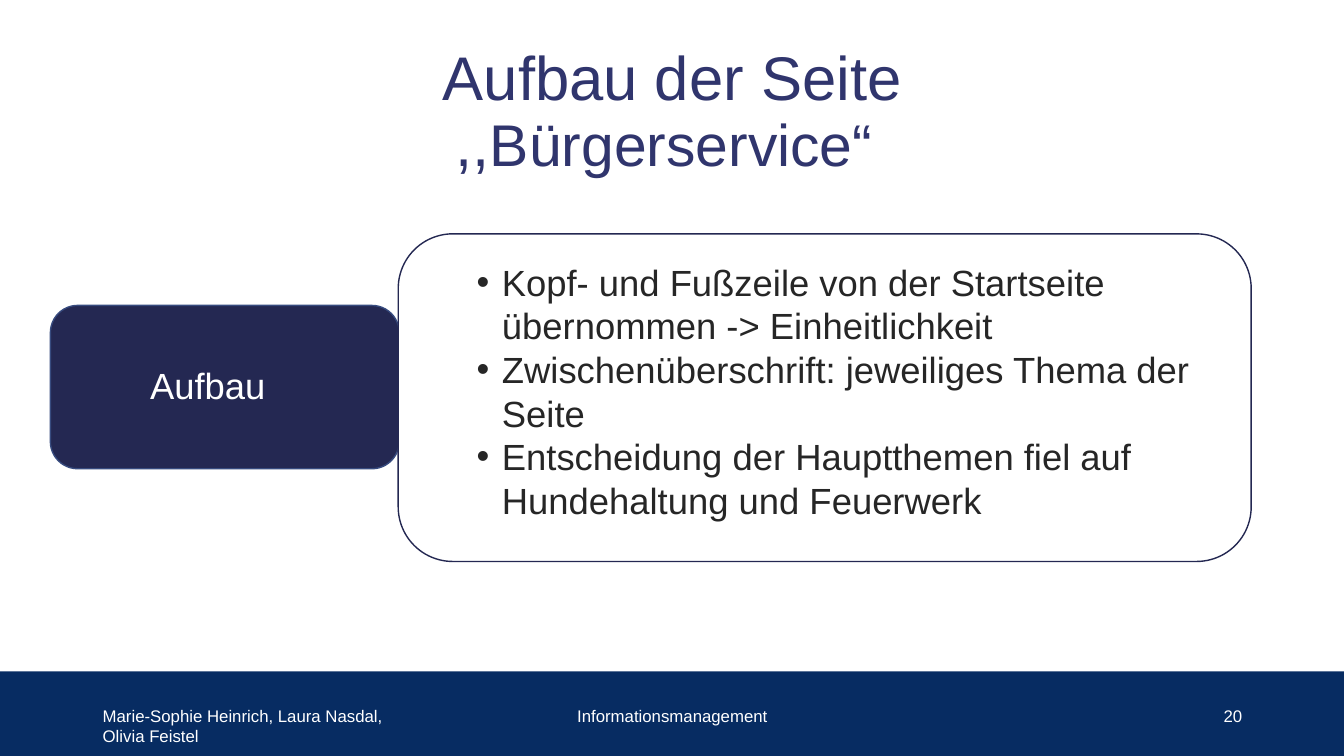
"""Build the slide on the structure of the Bürgerservice page."""
from pptx import Presentation
from pptx.dml.color import RGBColor
from pptx.enum.shapes import MSO_SHAPE
from pptx.enum.text import MSO_ANCHOR, MSO_AUTO_SIZE, PP_ALIGN
from pptx.oxml.ns import qn
from pptx.util import Inches, Pt
from lxml.etree import SubElement

NAVY, WHITE = "242852", "FFFFFF"


def color(value):
    return RGBColor.from_string(value)


def write(shape, lines, size, text_color, anchor=MSO_ANCHOR.TOP, **paragraph_format):
    frame = shape.text_frame
    frame.word_wrap = True
    frame.auto_size = MSO_AUTO_SIZE.NONE
    frame.vertical_anchor = anchor
    frame.text = "\n".join(lines)
    for paragraph in frame.paragraphs:
        for name, value in paragraph_format.items():
            setattr(paragraph, name, value)
        for run in paragraph.runs:
            run.font.name = "Arial"
            run.font.size = Pt(size)
            run.font.color.rgb = color(text_color)
    return frame


presentation = Presentation()
presentation.slide_width = Inches(13.33)
presentation.slide_height = Inches(7.5)
slide = presentation.slides.add_slide(presentation.slide_layouts[5])

panels = [
    (MSO_SHAPE.RECTANGLE, (0, 6.66, 13.33, 0.84), "072C62", None),
    (MSO_SHAPE.ROUNDED_RECTANGLE, (0.5, 3.03, 3.46, 1.62), NAVY, "374B7F"),
    (MSO_SHAPE.ROUNDED_RECTANGLE, (3.95, 2.32, 8.46, 3.25), WHITE, NAVY),
]
for preset, box, fill, line in panels:
    panel = slide.shapes.add_shape(preset, *map(Inches, box))
    panel.shadow.inherit = False
    panel.fill.solid()
    panel.fill.fore_color.rgb = color(fill)
    if line:
        panel.line.color.rgb = color(line)
        panel.line.width = Pt(1)
    else:
        panel.line.fill.background()

title = slide.shapes.title
title_place = {"left": 0.92, "top": 0.4, "width": 11.5, "height": 1.45}
for name, value in title_place.items():
    setattr(title, name, Inches(value))
title_frame = write(title, ["Aufbau der Seite\v,,"], 44, "30356D", MSO_ANCHOR.MIDDLE,
                    alignment=PP_ALIGN.CENTER, line_spacing=0.9)
for text, size in [("Bürgerservice“", 42), (" ", 44)]:
    run = title_frame.paragraphs[0].add_run()
    run.text = text
    font_format = {"name": "Arial", "size": Pt(size)}
    for name, value in font_format.items():
        setattr(run.font, name, value)
    run.font.color.rgb = color("30356D")

label = slide.shapes.add_textbox(*map(Inches, (1.39, 3.19, 3.46, 0.9)))
write(label, ["Aufbau"], 26, WHITE, MSO_ANCHOR.BOTTOM, line_spacing=0.9, space_before=Pt(10))

points = [
    "Kopf- und Fußzeile von der Startseite übernommen -> Einheitlichkeit",
    "Zwischenüberschrift: jeweiliges Thema der Seite",
    "Entscheidung der Hauptthemen fiel auf Hundehaltung und Feuerwerk",
]
point_list = slide.shapes.add_textbox(*map(Inches, (4.38, 2.53, 7.61, 4.03)))
for paragraph in write(point_list, points, 26, "262626").paragraphs:
    properties = paragraph._p.get_or_add_pPr()
    properties.set("marL", str(Inches(0.5)))
    properties.set("indent", str(Inches(-0.25)))
    SubElement(properties, qn("a:buFont")).set("typeface", "Arial")
    SubElement(properties, qn("a:buChar")).set("char", "•")

footers = [
    ("Marie-Sophie Heinrich, Laura Nasdal, Olivia Feistel", 0.92, 3, PP_ALIGN.LEFT),
    ("Informationsmanagement", 4.42, 4.5, PP_ALIGN.CENTER),
    ("20", 9.42, 3, PP_ALIGN.RIGHT),
]
for text, left, width, alignment in footers:
    footer = slide.shapes.add_textbox(*map(Inches, (left, 6.95, width, 0.4)))
    write(footer, [text], 12, WHITE, alignment=alignment)

presentation.save("out.pptx")
